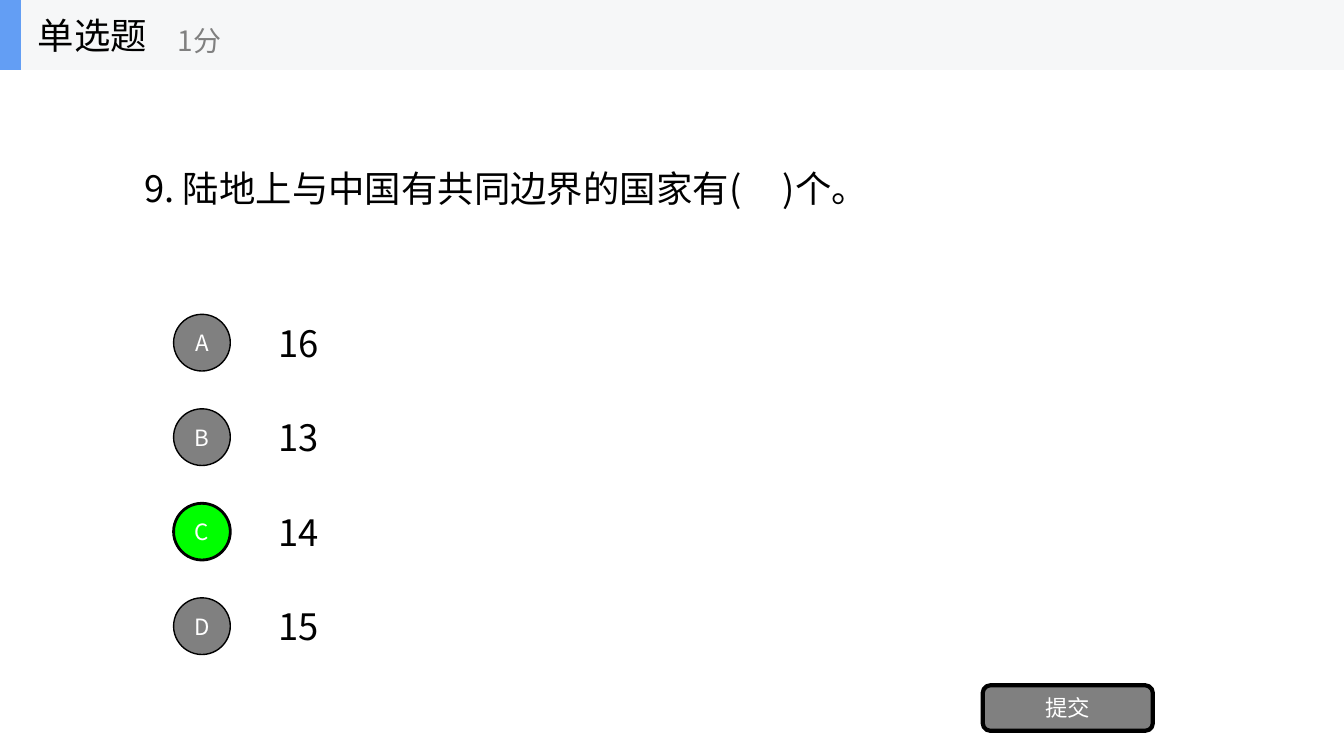
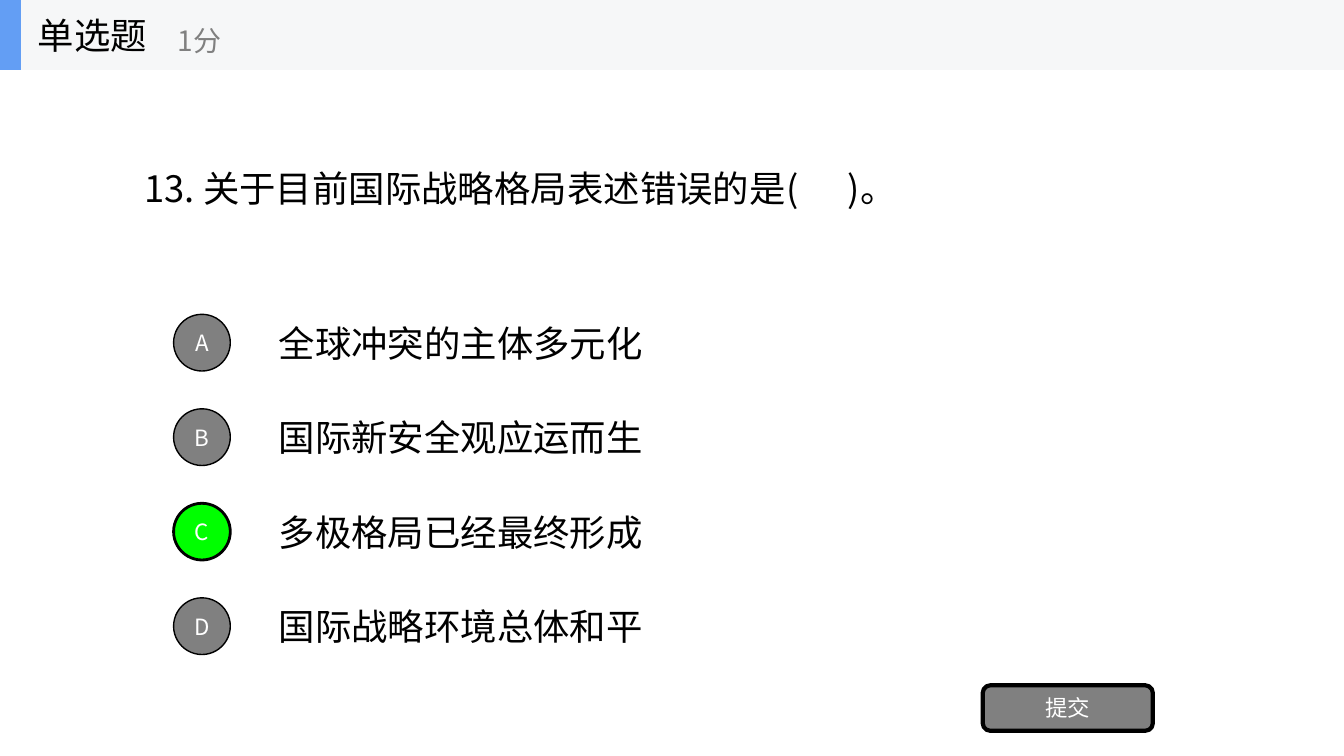
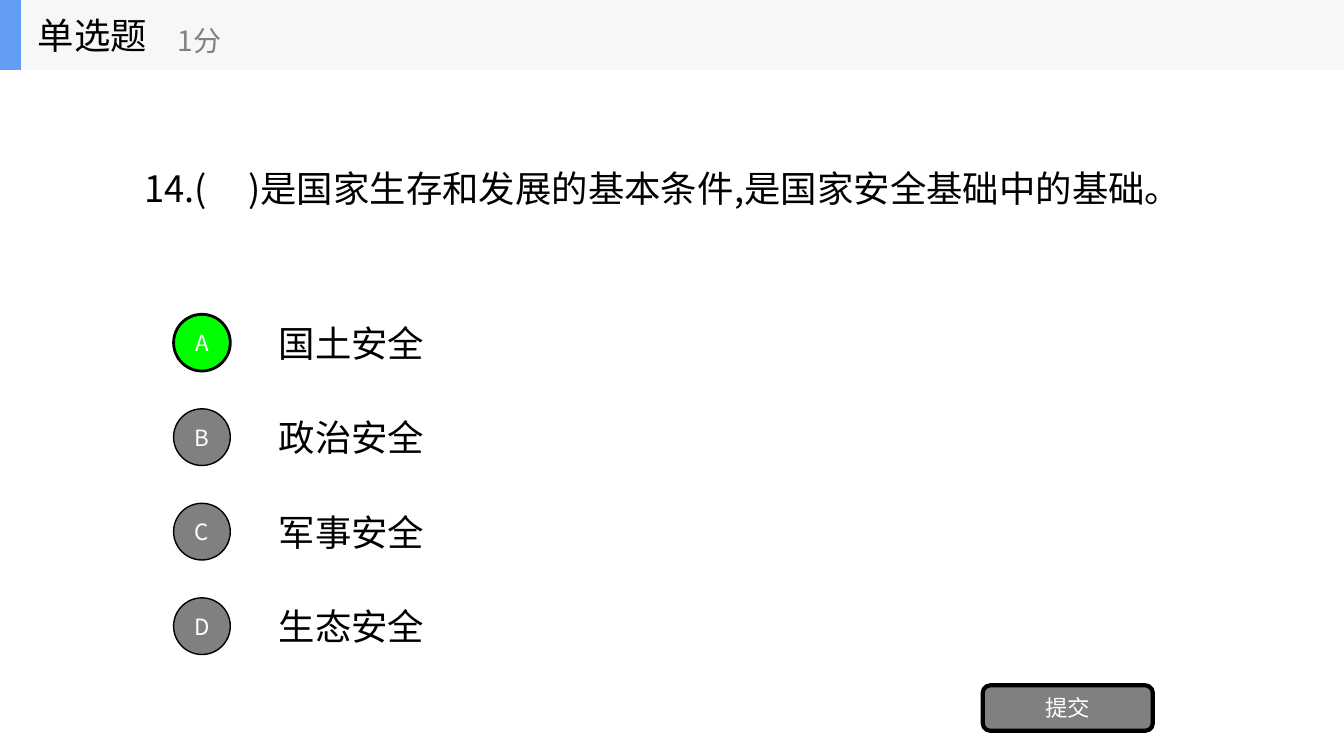
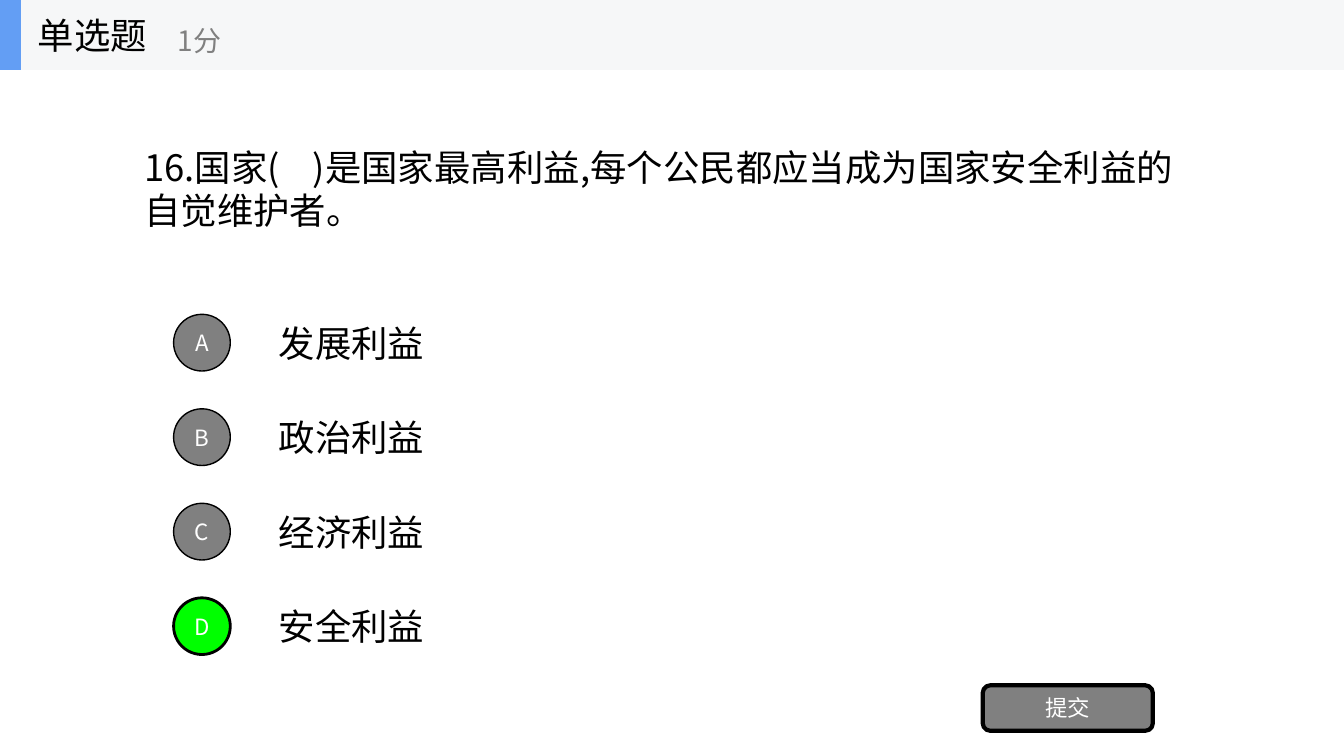
import pptx
import pptx.dml.color
import pptx.enum.shapes
import pptx.enum.text
import pptx.oxml
import pptx.util

Pt = pptx.util.Pt
SHAPE = pptx.enum.shapes.MSO_SHAPE
AUTO_SIZE = pptx.enum.text.MSO_AUTO_SIZE
CENTER = pptx.enum.text.PP_ALIGN.CENTER

FONT = "Noto Sans CJK SC"
BLACK, WHITE, GRAY = "000000", "FFFFFF", "808080"
BAND, ACCENT, CORRECT = "F6F7F8", "639EF4", "00FF00"
BODY_SIZE, SCORE_SIZE, LABEL_SIZE = 26, 20, 16
LINE_HEIGHT = 38

SLIDE_WIDTH, SLIDE_HEIGHT = 960, 540
HEADER_BOX = (0, 0, SLIDE_WIDTH, 50)
QUESTION_LEFT, QUESTION_MIDDLE = 96, 134.5
OPTIONS_BOX = (124, 224.5, 243)
SUBMIT_BOX = (702, 489.5, 121.5, 32.5)

# Question, its box width and height, options, option width, correct letter
QUESTIONS = [
    ("9. 陆地上与中国有共同边界的国家有(\u00a0  \u00a0\u00a0)个。", 549, 38,
     ["16", "13", "14", "15"], 52.5, "C"),
    ("13. 关于目前国际战略格局表述错误的是(\u00a0\u00a0 \u00a0\u00a0 )。", 572, 38,
     ["全球冲突的主体多元化", "国际新安全观应运而生",
      "多极格局已经最终形成", "国际战略环境总体和平"], 282, "C"),
    ("14.( \u00a0 \u00a0\u00a0)是国家生存和发展的基本条件,是国家安全基础中的基础。", 771, 38,
     ["国土安全", "政治安全", "军事安全", "生态安全"], 126, "A"),
    ("16.国家( \u00a0\u00a0 )是国家最高利益,每个公民都应当成为国家安全利益的自觉维护者。",
     756, 70, ["发展利益", "政治利益", "经济利益", "安全利益"], 126, "D"),
]


def rgb(value):
    """Turn a hex string into a colour."""
    return pptx.dml.color.RGBColor.from_string(value)


def write(frame, words, size, color, align=None):
    """Put one vertically centred run into a text frame."""
    frame.vertical_anchor = pptx.enum.text.MSO_ANCHOR.MIDDLE
    paragraph = frame.paragraphs[0]
    paragraph.alignment = align
    run = paragraph.add_run()
    run.text = words
    run.font.size = Pt(size)
    run.font.name = FONT
    run.font.color.rgb = rgb(color)
    east_asian = pptx.oxml.parse_xml(
        '<a:ea xmlns:a="http://schemas.openxmlformats.org/drawingml/2006/main"'
        f' typeface="{FONT}"/>')
    run.font.fill  # colour precedes the typefaces
    run.font._element.append(east_asian)


def add_text(shapes, box, words, size=BODY_SIZE, color=BLACK, wrap=True):
    """Add a text box; wrapped boxes grow with their text."""
    frame = shapes.add_textbox(*map(Pt, box)).text_frame
    frame.word_wrap = wrap
    frame.auto_size = AUTO_SIZE.SHAPE_TO_FIT_TEXT if wrap else AUTO_SIZE.NONE
    write(frame, words, size, color)


def add_block(shapes, kind, box, fill, outline=0):
    """Add a filled preset shape with an optional black outline."""
    block = shapes.add_shape(kind, *map(Pt, box))
    block.shadow.inherit = False
    block.fill.solid()
    block.fill.fore_color.rgb = rgb(fill)
    if outline:
        block.line.color.rgb = rgb(BLACK)
        block.line.width = Pt(outline)
    else:
        block.line.fill.background()
    return block


def add_button(shapes, kind, box, label, fill, outline):
    """Add a shape with a centred white label."""
    button = add_block(shapes, kind, box, fill, outline)
    write(button.text_frame, label, LABEL_SIZE, WHITE, CENTER)


def add_header(slide, box):
    """Add the grouped band with question type and score."""
    left, top, width, height = box
    header = slide.shapes.add_group_shape().shapes
    add_block(header, SHAPE.RECTANGLE, box, BAND)
    add_block(header, SHAPE.RECTANGLE, (left, top, 15, height), ACCENT)
    add_text(header, (left + 20, top, 150, height), "单选题", wrap=False)
    add_text(header, (left + 120, top + 9, 180, height - 10), "1分",
             SCORE_SIZE, GRAY, wrap=False)


def add_options(slide, box, options, text_width, correct):
    """Add evenly spaced lettered options, marking the correct one."""
    left, top, height = box
    diameter = 40.5
    pitch = (height - diameter) / (len(options) - 1)
    for row, (letter, option) in enumerate(zip("ABCD", options)):
        y = top + row * pitch
        text_top = y + (diameter - LINE_HEIGHT) / 2
        add_text(slide.shapes, (left + 68, text_top, text_width, LINE_HEIGHT), option)
        fill, outline = (CORRECT, 2) if letter == correct else (GRAY, 1)
        add_button(slide.shapes, SHAPE.OVAL, (left, y, diameter, diameter),
                   letter, fill, outline)


def add_question_slide(deck, question, width, height, options, option_width, correct):
    """Add one single-choice question slide."""
    slide = deck.slides.add_slide(deck.slide_layouts[6])
    slide.background.fill.solid()
    slide.background.fill.fore_color.rgb = rgb(WHITE)
    add_header(slide, HEADER_BOX)
    add_text(slide.shapes,
             (QUESTION_LEFT, QUESTION_MIDDLE - height / 2, width, height), question)
    add_options(slide, OPTIONS_BOX, options, option_width, correct)
    add_button(slide.shapes, SHAPE.ROUNDED_RECTANGLE, SUBMIT_BOX, "提交", GRAY, 3)


def main():
    """Build and save the quiz."""
    deck = pptx.Presentation()
    deck.slide_width, deck.slide_height = Pt(SLIDE_WIDTH), Pt(SLIDE_HEIGHT)
    for question in QUESTIONS:
        add_question_slide(deck, *question)
    deck.save("out.pptx")


main()
